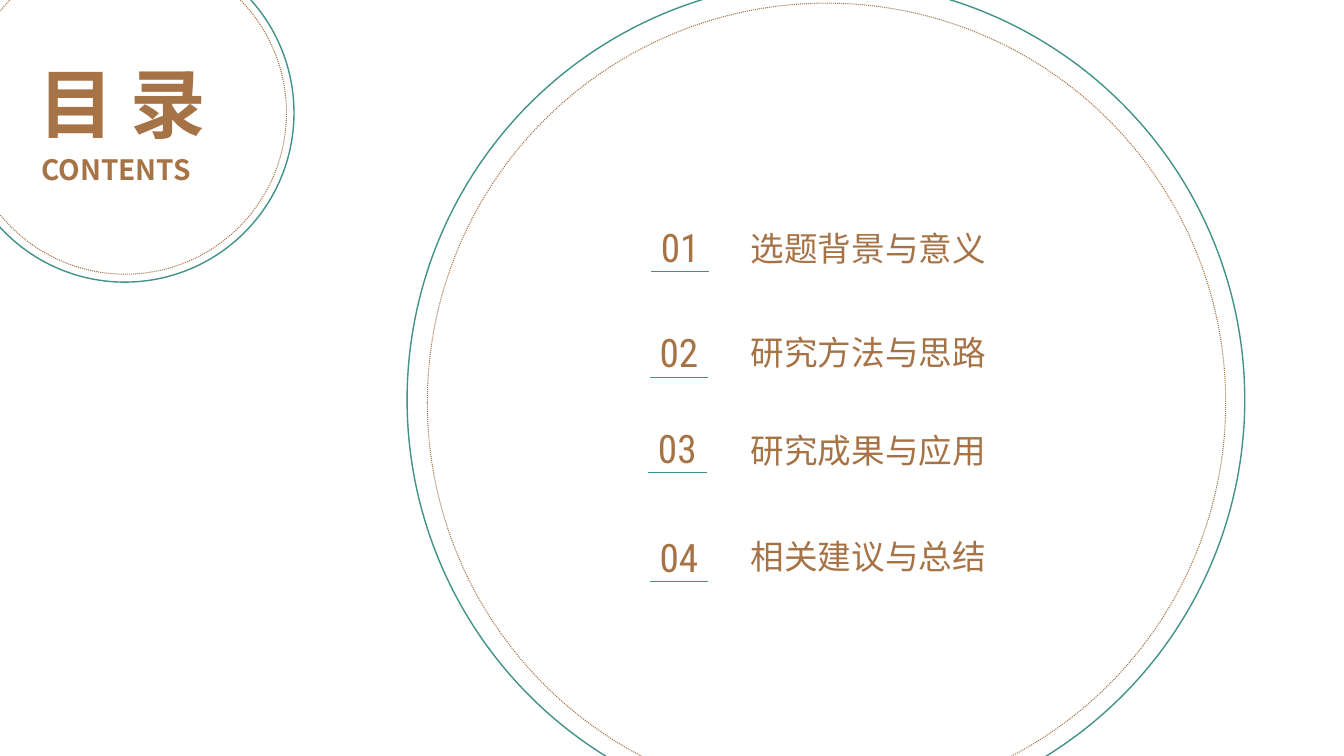
"""Build a table-of-contents slide with two ringed circles and four numbered topics."""
import pptx
import pptx.dml.color
import pptx.enum.dml
import pptx.enum.shapes
import pptx.enum.text
import pptx.oxml
import pptx.oxml.ns
import pptx.util

Cm = pptx.util.Cm
Pt = pptx.util.Pt
ALIGN = pptx.enum.text.PP_ALIGN
BROWN = "A67346"
GREEN = "419287"
LINE_GREEN = "3E8F84"
CHINESE_FONT = "Noto Sans CJK SC"
NUMBER_FONT = "Roboto Condensed"


def color(value):
    return pptx.dml.color.RGBColor.from_string(value)


def add_text(text, left, top, width, height, size, font=CHINESE_FONT, bold=False, align=ALIGN.LEFT):
    box = page.shapes.add_textbox(Cm(left), Cm(top), Cm(width), Cm(height))
    box.text_frame.word_wrap = True
    box.text_frame.auto_size = pptx.enum.text.MSO_AUTO_SIZE.SHAPE_TO_FIT_TEXT
    para = box.text_frame.paragraphs[0]
    para.alignment = align
    span = para.add_run()
    span.text = text
    span.font.name = font
    span.font.size = Pt(size)
    span.font.bold = bold
    span.font.color.rgb = color(BROWN)
    east_asian = pptx.oxml.parse_xml(f'<a:ea {pptx.oxml.ns.nsdecls("a")} typeface="{font}"/>')
    span.font._element.find(pptx.oxml.ns.qn("a:latin")).addnext(east_asian)


deck = pptx.Presentation()
deck.slide_width = Cm(33.87)
deck.slide_height = Cm(19.05)
page = deck.slides.add_slide(deck.slide_layouts[6])

circles = [
    (-1.12, -1.42, 8.53, False),
    (-0.91, -1.22, 8.13, True),
    (10.26, -0.48, 21.11, False),
    (10.77, 0.08, 20.12, True),
]
for left, top, diameter, dotted in circles:
    circle = page.shapes.add_shape(
        pptx.enum.shapes.MSO_SHAPE.OVAL, Cm(left), Cm(top), Cm(diameter), Cm(diameter)
    )
    circle.shadow.inherit = False
    if dotted:
        circle.fill.background()
        circle.line.color.rgb = color(BROWN)
        circle.line.width = Pt(0.75)
        circle.line.dash_style = pptx.enum.dml.MSO_LINE.ROUND_DOT
    else:
        circle.fill.solid()
        circle.fill.fore_color.rgb = color("FFFFFF")
        circle.line.color.rgb = color(GREEN)
        circle.line.width = Pt(1)

add_text("CONTENTS", 0.79, 3.73, 4.6, 1.17, 20, bold=True)
add_text("目 录", 0.58, 1.32, 5, 2.69, 54, bold=True, align=ALIGN.CENTER)

number_width = 1.75
underline_width = 1.47
topics = [
    ("选题背景与意义", 17.14, 5.61, 6.83),
    ("研究方法与思路", 17.11, 8.23, 9.5),
    ("研究成果与应用", 17.07, 10.72, 11.91),
    ("相关建议与总结", 17.11, 13.39, 14.66),
]
for number, (topic, center, topic_top, underline_y) in enumerate(topics, start=1):
    add_text(topic, 18.67, topic_top, 9.37, 1.35, 24)
    add_text(f"{number:02d}", center - number_width / 2, underline_y - 1.34, number_width, 1.45, 28,
             font=NUMBER_FONT, align=ALIGN.CENTER)
    underline = page.shapes.add_connector(
        pptx.enum.shapes.MSO_CONNECTOR.STRAIGHT,
        Cm(center - underline_width / 2), Cm(underline_y),
        Cm(center + underline_width / 2), Cm(underline_y),
    )
    underline.line.color.rgb = color(LINE_GREEN)
    underline.line.width = Pt(0.5)
    underline._element.spPr.append(
        pptx.oxml.parse_xml(f'<a:effectLst {pptx.oxml.ns.nsdecls("a")}/>')
    )

deck.save("out.pptx")
